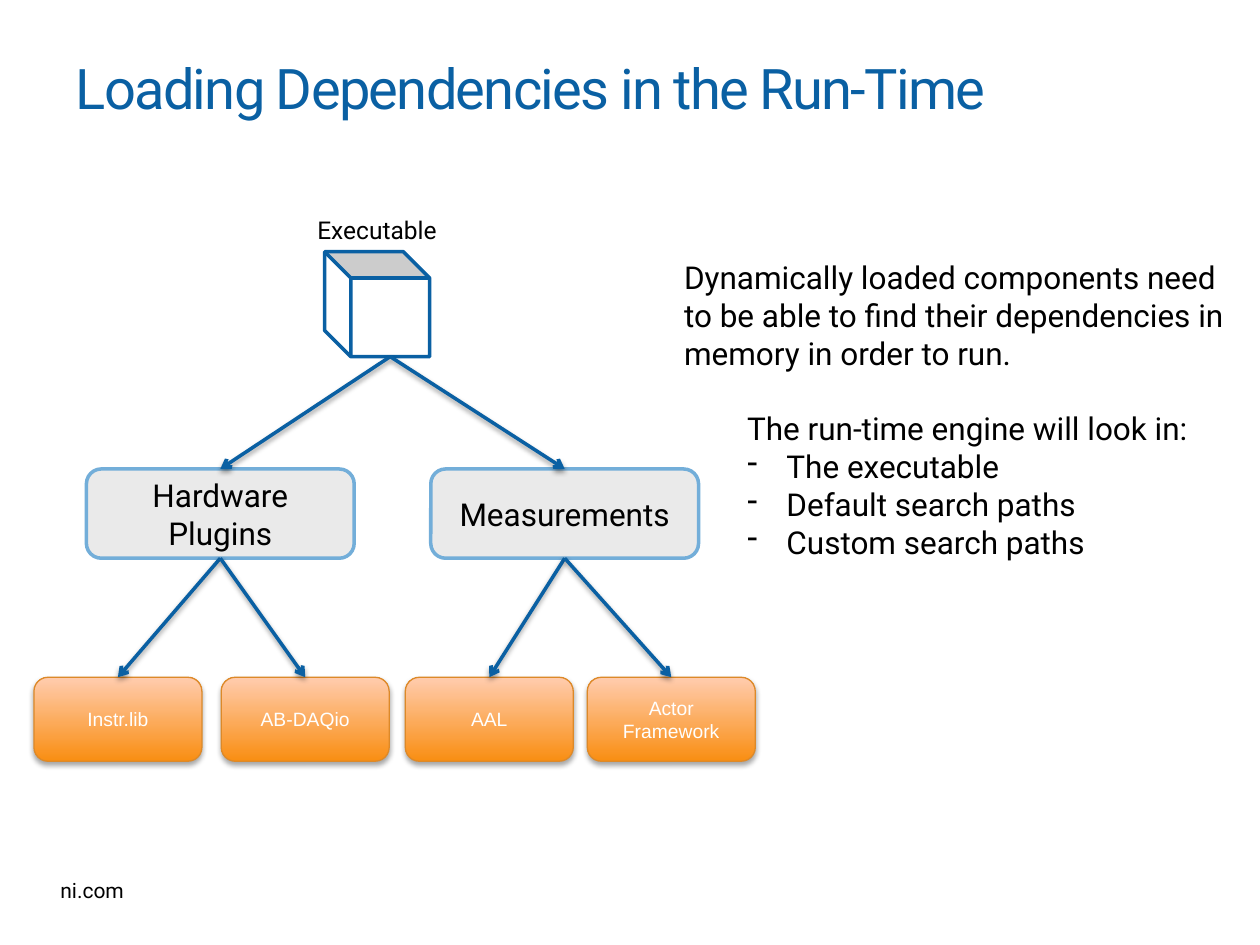
from lxml import etree
from pptx import Presentation
from pptx.dml.color import RGBColor
from pptx.enum.shapes import MSO_CONNECTOR as LINK, MSO_SHAPE as SHAPE
from pptx.enum.text import MSO_ANCHOR as ANCHOR, MSO_AUTO_SIZE as FIT, PP_ALIGN as ALIGN
from pptx.oxml.ns import qn
from pptx.util import Pt

BLUE = RGBColor(0x0A, 0x60, 0xA3)
SKY = RGBColor(0x73, 0xAE, 0xD9)
GREY = RGBColor(0xD9, 0xD9, 0xD9)
ORANGE = RGBColor(0xF9, 0x8E, 0x12)
PEACH = RGBColor(0xFF, 0xCC, 0xAE)
RUST = RGBColor(0xDD, 0x89, 0x28)
BLACK = RGBColor(0, 0, 0)
WHITE = RGBColor(0xFF, 0xFF, 0xFF)

BOTTOM, TOP = 2, 0  # connection sites of a rectangle

# Each branch has its left edge and its leaves, which have theirs
TREE = [
    ("Hardware Plugins", 49.4, [("Instr.lib", 19.4), ("AB-DAQio", 126.4)]),
    ("Measurements", 246.2, [("AAL", 231.6), ("Actor Framework", 335.6)]),
]
PLACES = ["The executable", "Default search paths", "Custom search paths"]


def write(para, text, size, color=BLACK, name="Roboto", align=ALIGN.LEFT):
    span = para.add_run()
    span.text = text
    para.alignment = align
    look = {"size": Pt(size), "name": name}
    for key, value in look.items():
        setattr(span.font, key, value)
    span.font.color.rgb = color
    return span


def add_text_box(shapes, left, top, width, height, wrap=True):
    box = shapes.add_textbox(Pt(left), Pt(top), Pt(width), Pt(height))
    box.text_frame.word_wrap = wrap
    return box.text_frame


def add_shape(shapes, kind, left, top, width, height, line_color, line_width):
    shape = shapes.add_shape(kind, Pt(left), Pt(top), Pt(width), Pt(height))
    shape.shadow.inherit = False
    shape.line.color.rgb = line_color
    shape.line.width = Pt(line_width)
    return shape


def add_label(shape, text, **look):
    frame = shape.text_frame
    frame.word_wrap = True
    frame.vertical_anchor = ANCHOR.MIDDLE
    write(frame.paragraphs[0], text, align=ALIGN.CENTER, **look)


def add_shadow(shape, distance, opacity):
    properties = shape._element.spPr
    effects = properties.find(qn("a:effectLst"))
    if effects is None:
        effects = etree.SubElement(properties, qn("a:effectLst"))
    shadow = etree.SubElement(effects, qn("a:outerShdw"), blurRad=str(Pt(3.1)),
                              dist=str(Pt(distance)), dir="5400000", rotWithShape="0")
    color = etree.SubElement(shadow, qn("a:srgbClr"), val=str(BLACK))
    etree.SubElement(color, qn("a:alpha"), val=str(opacity * 1000))


def add_arrow(page, target, source=None, start=(0, 0)):
    """Run from the bottom of source, or from a start point, to the top of target."""
    left, top = (Pt(value) for value in start)
    arrow = page.shapes.add_connector(LINK.STRAIGHT, left, top, left, top)
    if source is not None:
        arrow.begin_connect(source, BOTTOM)
    arrow.end_connect(target, TOP)
    arrow.line.color.rgb = BLUE
    arrow.line.width = Pt(2)
    etree.SubElement(arrow.line._get_or_add_ln(), qn("a:tailEnd"), type="arrow")
    add_shadow(arrow, 1.6, 38)


def add_title(page, left, top, width, height):
    title = page.shapes.title
    position = {"left": left, "top": top, "width": width, "height": height}
    for key, value in position.items():
        setattr(title, key, Pt(value))
    frame = title.text_frame
    frame.auto_size = FIT.NONE
    frame.vertical_anchor = ANCHOR.MIDDLE
    span = write(frame.paragraphs[0], "Loading Dependencies in the Run-Time", 32, BLUE)
    span.font._element.set("spc", "-100")


def add_executable(page, left, top, width, height):
    """Caption over a cube; returns the point at the middle of the cube's front edge."""
    group = page.shapes.add_group_shape()
    caption = add_text_box(group.shapes, left, top, width, 24.4)
    write(caption.paragraphs[0], "Executable", 14, align=ALIGN.CENTER)
    side = height - 24.4
    cube_left = left + (width - side) / 2
    cube = add_shape(group.shapes, SHAPE.CUBE, cube_left, top + 24.4, side, side, BLUE, 2)
    cube.rotation = 270
    cube.fill.solid()
    cube.fill.fore_color.rgb = WHITE
    return cube_left + side * 5 / 8, top + height


def add_branch(page, text, left, top, width, height):
    branch = add_shape(page.shapes, SHAPE.ROUNDED_RECTANGLE, left, top, width, height, SKY, 2)
    branch.fill.solid()
    branch.fill.fore_color.rgb = GREY
    color = branch._element.spPr.find(qn("a:solidFill"))[0]
    etree.SubElement(color, qn("a:alpha"), val="54000")
    add_label(branch, text, size=18)
    return branch


def add_leaf(page, text, left, top, width, height):
    leaf = add_shape(page.shapes, SHAPE.ROUNDED_RECTANGLE, left, top, width, height, RUST, 0.75)
    leaf.fill.gradient()
    leaf.fill.gradient_angle = 90
    for stop, color in zip(leaf.fill.gradient_stops, (ORANGE, PEACH)):
        stop.color.rgb = color
    add_shadow(leaf, 1.8, 35)
    add_label(leaf, text, size=11, color=WHITE, name="Arial")
    return leaf


def add_tree(page, root):
    for branch_text, branch_left, leaves in TREE:
        branch = add_branch(page, branch_text, branch_left, 268, 153, 51)
        add_arrow(page, branch, start=root)
        for leaf_text, leaf_left in leaves:
            leaf = add_leaf(page, leaf_text, leaf_left, 387, 96, 48)
            add_arrow(page, leaf, source=branch)


def indent(para, margin, hanging=0):
    para.level = 1
    properties = para._p.get_or_add_pPr()
    properties.set("marL", str(Pt(margin)))
    properties.set("indent", str(Pt(-hanging)))
    if hanging:
        etree.SubElement(properties, qn("a:buChar"), char="-")


def add_explanation(page, left, top, width, height):
    frame = add_text_box(page.shapes, left, top, width, height)
    write(frame.paragraphs[0], "Dynamically loaded components need to be able to find "
          "their dependencies in memory in order to run.", 18)
    lead = frame.add_paragraph()
    lead.space_before = Pt(21.5)
    indent(lead, 36)
    write(lead, "The run-time engine will look in:", 18)
    for place in PLACES:
        para = frame.add_paragraph()
        indent(para, 58.5, 22.5)
        write(para, place, 18)


def add_footer(page, left, top, width, height):
    frame = add_text_box(page.shapes, left, top, width, height, wrap=False)
    write(frame.paragraphs[0], "ni.com", 12)


def main():
    deck = Presentation()
    deck.slide_width, deck.slide_height = Pt(720), Pt(540)
    page = deck.slides.add_slide(deck.slide_layouts[5])
    add_footer(page, 27.4, 498.2, 51, 21.6)
    add_title(page, 36, 12.2, 643, 75.6)
    root = add_executable(page, 174, 119.4, 83, 84.4)
    add_tree(page, root)
    add_explanation(page, 383.8, 144, 327.6, 181.4)
    deck.save("out.pptx")


if __name__ == "__main__":
    main()
